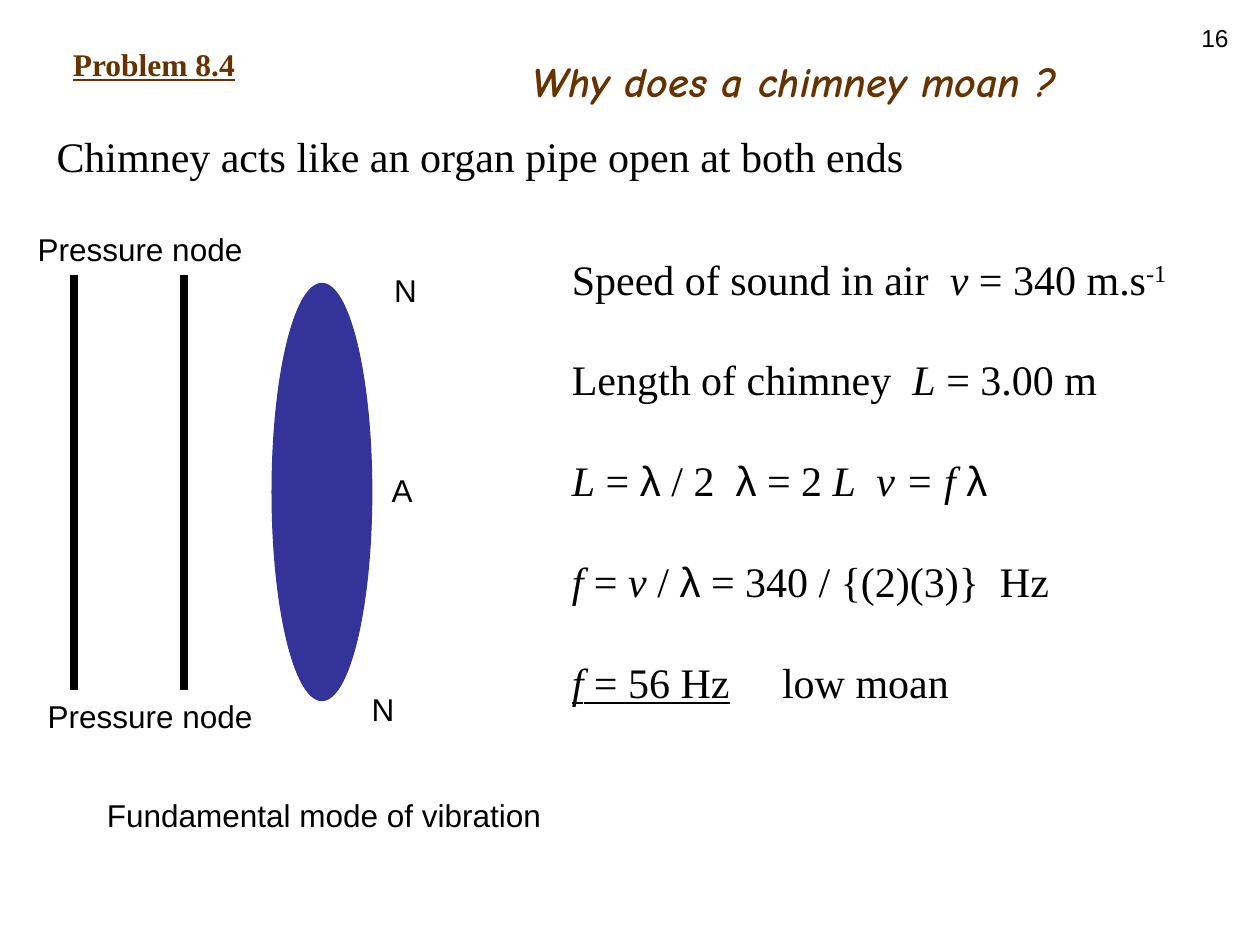
from lxml.etree import SubElement
from pptx import Presentation
from pptx.dml.color import RGBColor
from pptx.enum.shapes import MSO_CONNECTOR, MSO_SHAPE
from pptx.enum.text import MSO_AUTO_SIZE, PP_ALIGN
from pptx.oxml.ns import qn
from pptx.util import Inches, Pt

BLACK = RGBColor(0x00, 0x00, 0x00)
BROWN = RGBColor(0x66, 0x33, 0x00)
BLUE = RGBColor(0x33, 0x33, 0x99)

LABEL = {"name": "Arial", "size": Pt(18)}
BODY = {"name": "Times New Roman", "size": Pt(24)}
TITLE = {"name": "Comic Neue", "size": Pt(24), "bold": True, "italic": True}
HEAD = {"name": "Times New Roman", "size": Pt(18), "bold": True, "underline": True}
NUMBER = {"name": "Arial", "size": Pt(14)}

ITALIC = {"italic": True}
LINED = {"underline": True}
GREEK = ("λ", {"name": "Arial"})
SUPER = {"super": True}

LABELS = [
    ("Pressure node", 0.2, 1.78, 1.9),
    ("Pressure node", 0.28, 5.48, 1.9),
    ("N", 3.03, 2.1, 0.45),
    ("A", 3.01, 3.69, 0.45),
    ("N", 2.85, 5.43, 0.45),
    ("Fundamental mode of vibration", 0.75, 6.27, 3.75),
]

STEPS = [
    [("Speed of sound in air  ", {}), ("v", ITALIC), (" = 340 m.s", {}), ("-1", SUPER)],
    [("Length of chimney  ", {}), ("L", ITALIC), (" = 3.00 m", {})],
    [("L", ITALIC), (" = ", {}), GREEK, (" / 2  ", {}), GREEK, (" = 2 ", {}),
     ("L  v = f ", ITALIC), GREEK],
    [("f", ITALIC), (" = ", {}), ("v", ITALIC), (" / ", {}), GREEK,
     (" = 340 / {(2)(3)}  Hz", {})],
    [("f", ITALIC | LINED), (" = 56 Hz", LINED), ("     low moan", {})],
]


def add_run(para, text, style, color):
    run = para.add_run()
    run.text = text
    run.font.color.rgb = color
    for key, value in style.items():
        if key == "super":
            run.font._element.set("baseline", "30000")
        else:
            setattr(run.font, key, value)


def add_text(slide, lines, box, style, color=BLACK, align=PP_ALIGN.LEFT, gap=0):
    """Add a text box; each line is a list of (text, extra style) pairs."""
    frame = slide.shapes.add_textbox(*map(Inches, box)).text_frame
    frame.word_wrap = True
    frame.auto_size = MSO_AUTO_SIZE.NONE
    for row, line in enumerate(lines):
        para = frame.add_paragraph() if row else frame.paragraphs[0]
        para.alignment = align
        if row and gap:
            para.space_before = Pt(gap)
        for text, extra in line:
            add_run(para, text, style | extra, color)


def add_wall(slide, x, top, bottom):
    wall = slide.shapes.add_connector(
        MSO_CONNECTOR.STRAIGHT, *map(Inches, (x, top, x, bottom)))
    wall.line.color.rgb = BLACK
    wall.line.width = Pt(4.5)
    SubElement(wall._element.spPr, qn("a:effectLst"))


def add_wave(slide, box):
    wave = slide.shapes.add_shape(MSO_SHAPE.OVAL, *map(Inches, box))
    wave.shadow.inherit = False
    wave.fill.solid()
    wave.fill.fore_color.rgb = BLUE
    wave.line.color.rgb = BLUE
    wave.line.width = Pt(0.75)


def main():
    deck = Presentation()
    deck.slide_width, deck.slide_height = Inches(10), Inches(7.5)
    slide = deck.slides.add_slide(deck.slide_layouts[6])

    add_text(slide, [[("16", {})]], (7.52, 0.13, 2.33, 0.52), NUMBER,
             align=PP_ALIGN.RIGHT)
    add_text(slide, [[("Problem 8.4", {})]], (0.48, 0.31, 1.6, 0.4), HEAD, BROWN)
    add_text(slide, [[("Why does a chimney moan ?", {})]],
             (4.13, 0.39, 4.5, 0.5), TITLE, BROWN)
    add_text(slide, [[("Chimney acts like an organ pipe open at both ends", {})]],
             (0.35, 0.99, 7.05, 0.5), BODY)

    for x in (0.59, 1.46):
        add_wall(slide, x, 2.18, 5.48)
    add_wave(slide, (2.16, 2.25, 0.79, 3.31))
    for text, left, top, width in LABELS:
        add_text(slide, [[(text, {})]], (left, top, width, 0.4), LABEL)

    add_text(slide, STEPS, (4.44, 1.96, 5.05, 3.7), BODY, gap=28.8)
    deck.save("out.pptx")


if __name__ == "__main__":
    main()
